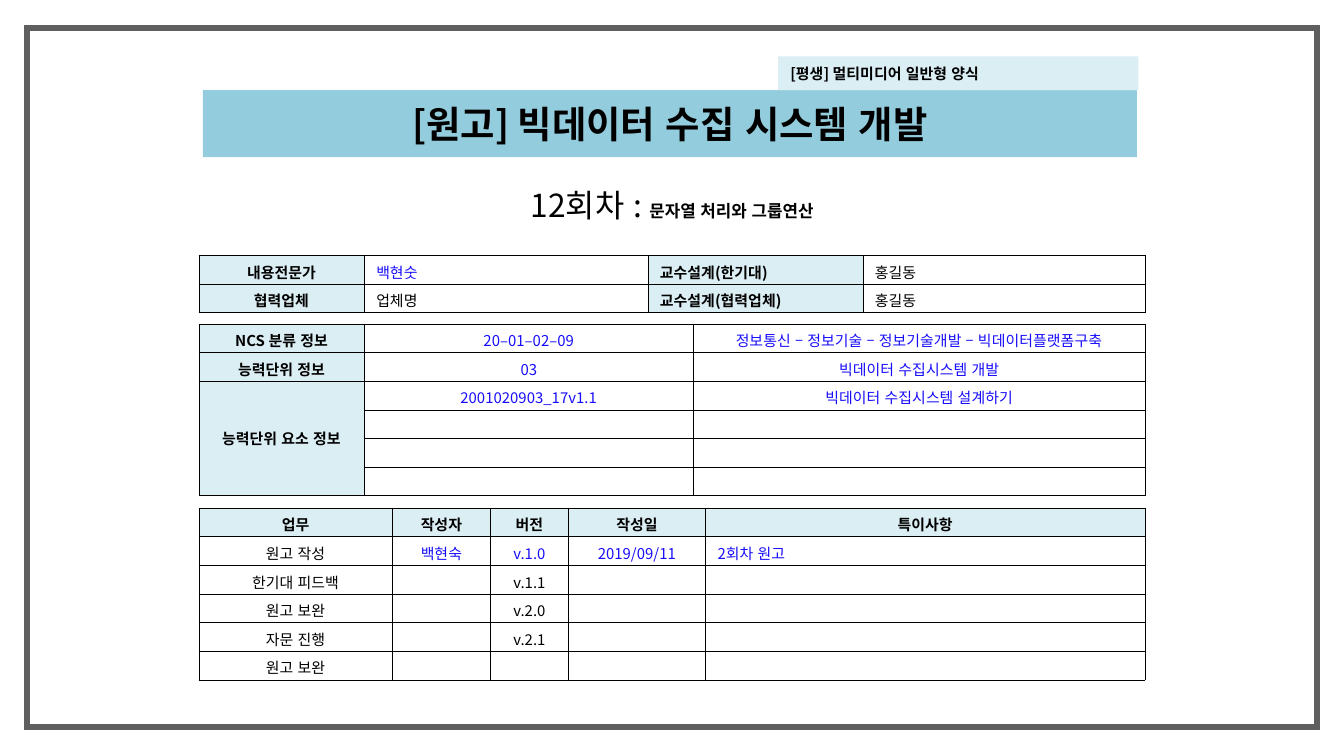
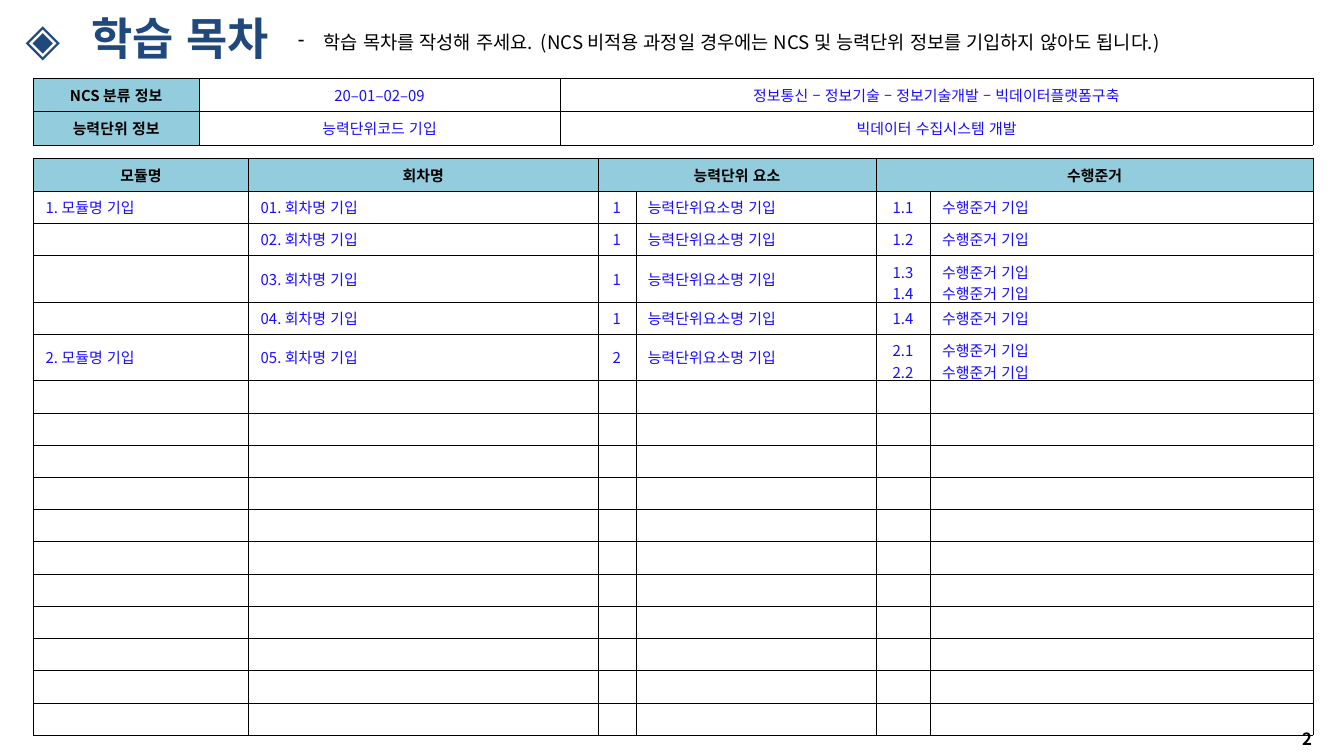
from lxml import etree
from pptx import Presentation
from pptx import util as u
from pptx.dml import color
from pptx.enum import lang, shapes, text
from pptx.oxml import ns

FONT = "Noto Sans CJK KR"
COLOURS = {
    "white": "FFFFFF",
    "black": "000000",
    "frame": "5F5F5F",
    "band": "93CDDD",
    "pale": "DBEEF4",
    "entry": "180DFB",
    "heading": "1F497D",
    "outline": "376092",
}
CENTRE = text.PP_ALIGN.CENTER
LEFT = text.PP_ALIGN.LEFT
MIDDLE = text.MSO_ANCHOR.MIDDLE
MARGINS = (0.09, 0.04)
NCS_CODE = ["NCS 분류 정보", "20–01–02–09", "정보통신 – 정보기술 – 정보기술개발 – 빅데이터플랫폼구축"]
UNIT_NAME = "빅데이터 수집시스템 개발"


def rgb(name):
    """Return the named colour."""
    return color.RGBColor.from_string(COLOURS[name])


def add_element(parent, tag, **attributes):
    """Append a DrawingML element to its parent."""
    return etree.SubElement(parent, ns.qn(tag), attributes)


def set_values(target, values):
    """Set every attribute listed in a dict."""
    for name, value in values.items():
        setattr(target, name, value)


def set_margins(target, margins=MARGINS):
    """Set horizontal and vertical margins of a cell or text frame."""
    across, down = (u.Inches(margin) for margin in margins)
    set_values(target, {"margin_left": across, "margin_right": across,
                        "margin_top": down, "margin_bottom": down})


def write_run(paragraph, words, size, bold=False, colour="black"):
    """Add a formatted run to a paragraph."""
    run = paragraph.add_run()
    run.text = words
    set_values(run.font, {"size": u.Pt(size), "bold": bold, "name": FONT,
                          "language_id": lang.MSO_LANGUAGE_ID.KOREAN})
    run.font.color.rgb = rgb(colour)
    add_element(run.font._element, "a:ea", typeface=FONT)
    return run


def add_outline(run):
    """Give the letters of a run a thin outline."""
    properties = run.font._element
    line = add_element(properties, "a:ln", w=str(u.Pt(0.75)))
    add_element(add_element(line, "a:solidFill"), "a:srgbClr", val=COLOURS["outline"])
    properties.insert(0, line)


def add_label(slide, box, runs, align=LEFT, anchor=MIDDLE, wrap=True, margins=MARGINS):
    """Add a text box with one paragraph of runs and return its shape."""
    shape = slide.shapes.add_textbox(*map(u.Inches, box))
    set_values(shape.text_frame, {"word_wrap": wrap, "vertical_anchor": anchor})
    set_margins(shape.text_frame, margins)
    paragraph = shape.text_frame.paragraphs[0]
    paragraph.alignment = align
    for run in runs:
        write_run(paragraph, *run)
    return shape


def add_band(slide, box, words, size, fill, align=LEFT):
    """Add a filled rectangle with a bold line of text."""
    shape = slide.shapes.add_shape(shapes.MSO_SHAPE.RECTANGLE, *map(u.Inches, box))
    shape.shadow.inherit = False
    shape.fill.solid()
    shape.fill.fore_color.rgb = rgb(fill)
    shape.line.fill.background()
    set_values(shape.text_frame, {"word_wrap": False, "vertical_anchor": MIDDLE})
    set_margins(shape.text_frame)
    paragraph = shape.text_frame.paragraphs[0]
    paragraph.alignment = align
    write_run(paragraph, words, size, True)


def add_frame(slide, box):
    """Add the grey page frame with sharp corners."""
    shape = slide.shapes.add_shape(shapes.MSO_SHAPE.RECTANGLE, *map(u.Inches, box))
    shape.shadow.inherit = False
    shape.fill.background()
    shape.line.color.rgb = rgb("frame")
    shape.line.width = u.Pt(3)
    add_element(shape.line._get_or_add_ln(), "a:miter", lim="800000")


def set_borders(cell):
    """Draw thin black lines on all four sides of a cell."""
    properties = cell._tc.get_or_add_tcPr()
    for position, side in enumerate("LRTB"):
        line = add_element(properties, f"a:ln{side}", w=str(u.Pt(0.25)))
        add_element(add_element(line, "a:solidFill"), "a:srgbClr", val=COLOURS["black"])
        properties.insert(position, line)


def fill_cell(cell, words, label, entry, align, fill):
    """Write and format one table cell."""
    set_margins(cell)
    cell.vertical_anchor = MIDDLE
    if label:
        cell.fill.solid()
        cell.fill.fore_color.rgb = rgb(fill)
    else:
        cell.fill.background()
    set_borders(cell)
    for index, line in enumerate(words.split("\n")):
        frame = cell.text_frame
        paragraph = frame.add_paragraph() if index else frame.paragraphs[0]
        paragraph.alignment = align
        if line:
            write_run(paragraph, line, 8, label, "entry" if entry else "black")
        else:
            add_element(paragraph._p, "a:endParaRPr", sz="800")


def add_grid(slide, box, columns, row_height, rows, fill, is_label, is_entry,
             is_left=lambda row, column: False, merges=()):
    """Add a table whose cell roles follow from row and column."""
    graphic = slide.shapes.add_table(len(rows), len(columns), *map(u.Inches, box))
    table = graphic.table
    set_values(table, {"first_row": False, "horz_banding": False})
    for column, width in zip(table.columns, columns):
        column.width = u.Inches(width)
    for row, values in enumerate(rows):
        table.rows[row].height = u.Inches(row_height)
        for column, words in enumerate(values):
            align = LEFT if is_left(row, column) else CENTRE
            fill_cell(table.cell(row, column), words, is_label(row, column),
                      is_entry(row, column), align, fill)
    for first, last in merges:
        table.cell(*first).merge(table.cell(*last))
    set_values(graphic, {"width": u.Inches(box[2]), "height": u.Inches(box[3])})


def add_cover_header(slide, box):
    """Add the tab, title band and lesson line of the cover."""
    left, top, width, height = box
    lesson = add_label(slide, (left + 2.27, top + 0.92, 2.44, 0.37),
                       [("12회차 : ", 17), ("문자열 처리와 그룹연산", 9, True)],
                       CENTRE, text.MSO_ANCHOR.TOP, False)
    lesson.text_frame.auto_size = text.MSO_AUTO_SIZE.SHAPE_TO_FIT_TEXT
    add_band(slide, (left, top + 0.25, width, height - 0.25),
             "[원고] 빅데이터 수집 시스템 개발", 20, "band", CENTRE)
    add_band(slide, (left + width - 2.67, top, 2.68, 0.25),
             "[평생] 멀티미디어 일반형 양식", 8, "pale")


def add_cover_tables(slide, box):
    """Add the staff, classification and history tables of the cover."""
    left, top, width = box
    add_grid(slide, (left, top, width, 0.42), [1.23, 2.11, 1.6, 2.1], 0.21,
             [["내용전문가", "백현숫", "교수설계(한기대)", "홍길동"],
              ["협력업체", "업체명", "교수설계(협력업체)", "홍길동"]],
             "pale", lambda row, column: column % 2 == 0,
             lambda row, column: (row, column) == (0, 1),
             lambda row, column: column > 0)
    add_grid(slide, (left, top + 0.51, width, 1.28), [1.23, 2.45, 3.36], 0.21,
             [NCS_CODE,
              ["능력단위 정보", "03", UNIT_NAME],
              ["능력단위 요소 정보", "2001020903_17v1.1", "빅데이터 수집시스템 설계하기"]]
             + [[""] * 3] * 3,
             "pale", lambda row, column: column == 0,
             lambda row, column: column > 0, merges=[((2, 0), (5, 0))])
    add_grid(slide, (left, top + 1.88, width, 1.27), [1.44, 0.73, 0.58, 1.02, 3.27], 0.21,
             [["업무", "작성자", "버전", "작성일", "특이사항"],
              ["원고 작성", "백현숙", "v.1.0", "2019/09/11", "2회차 원고"],
              ["한기대 피드백", "", "v.1.1", "", ""],
              ["원고 보완", "", "v.2.0", "", ""],
              ["자문 진행", "", "v.2.1", "", ""],
              ["원고 보완", "", "", "", ""]],
             "pale", lambda row, column: row == 0,
             lambda row, column: row == 1 and column > 0,
             lambda row, column: row > 0 and column == 4)


def add_contents_header(slide, box):
    """Add the marker, heading and instruction of the contents slide."""
    left, top, width, height = box
    for offset, part, words in ((0, 0.47, "◈"), (0.49, width - 0.49, "학습 목차")):
        shape = add_label(slide, (left + offset, top, part, height),
                          [(words, 24, True, "heading")])
        add_outline(shape.text_frame.paragraphs[0].runs[0])
    note = add_label(slide, (left + 2.02, top + 0.04, 6.83, 0.35), [],
                     anchor=text.MSO_ANCHOR.TOP, wrap=False, margins=(0.1, 0.05))
    note.text_frame.auto_size = text.MSO_AUTO_SIZE.SHAPE_TO_FIT_TEXT
    paragraph = note.text_frame.paragraphs[0]
    paragraph.line_spacing = 1.5
    properties = paragraph._p.get_or_add_pPr()
    properties.set("marL", str(u.Inches(0.19)))
    properties.set("indent", str(u.Inches(-0.19)))
    add_element(properties, "a:buChar", char="-")
    write_run(paragraph, "학습 목차를 작성해 주세요.  (NCS 비적용 과정일 경우에는 NCS 및 "
                         "능력단위 정보를 기입하지 않아도 됩니다.)", 10)


def add_contents_tables(slide, box):
    """Add the lesson plan and the classification table above it."""
    left, top, width = box
    lessons = [("1. 모듈명 기입", "1", ["1.1"]), ("", "1", ["1.2"]),
               ("", "1", ["1.3", "1.4"]), ("", "1", ["1.4"]),
               ("2. 모듈명 기입", "2", ["2.1", "2.2"])]
    plan = [["모듈명", "회차명", "능력단위 요소", "", "수행준거", ""]]
    for number, (module, unit, criteria) in enumerate(lessons, 1):
        plan.append([module, f"{number:02}. 회차명 기입", unit, "능력단위요소명 기입",
                     "\n".join(criteria), "\n".join(["수행준거 기입"] * len(criteria))])
    plan += [[""] * 6] * 11
    add_grid(slide, (left, top + 0.6, width + 0.02, 4.36),
             [1.6, 2.6, 0.28, 1.79, 0.4, 2.85], 0.24, plan,
             "band", lambda row, column: row == 0, lambda row, column: row > 0,
             lambda row, column: row > 0 and column not in (2, 4),
             [((0, 2), (0, 3)), ((0, 4), (0, 5))])
    add_grid(slide, (left, top, width, 0.5), [1.23, 2.69, 5.6], 0.25,
             [NCS_CODE, ["능력단위 정보", "능력단위코드 기입", UNIT_NAME]],
             "band", lambda row, column: column == 0, lambda row, column: column > 0)


def add_page(presentation):
    """Add a blank white slide."""
    slide = presentation.slides.add_slide(presentation.slide_layouts[6])
    slide.background.fill.solid()
    slide.background.fill.fore_color.rgb = rgb("white")
    return slide


def main():
    """Build and save the two slides."""
    presentation = Presentation()
    width = u.Inches(10)
    set_values(presentation, {"slide_width": width, "slide_height": width * 9 // 16})
    cover = add_page(presentation)
    add_cover_header(cover, (1.51, 0.42, 6.95, 0.75))
    add_frame(cover, (0.2, 0.21, 9.6, 5.2))
    add_cover_tables(cover, (1.48, 1.9, 7.04))
    contents = add_page(presentation)
    add_contents_header(contents, (0.1, 0.06, 9.61, 0.44))
    add_contents_tables(contents, (0.25, 0.58, 9.51))
    add_label(contents, (9.49, 5.37, 0.47, 0.25), [("2", 9, True)], CENTRE,
              text.MSO_ANCHOR.TOP, margins=(0.1, 0.05))
    presentation.save("out.pptx")


if __name__ == "__main__":
    main()
